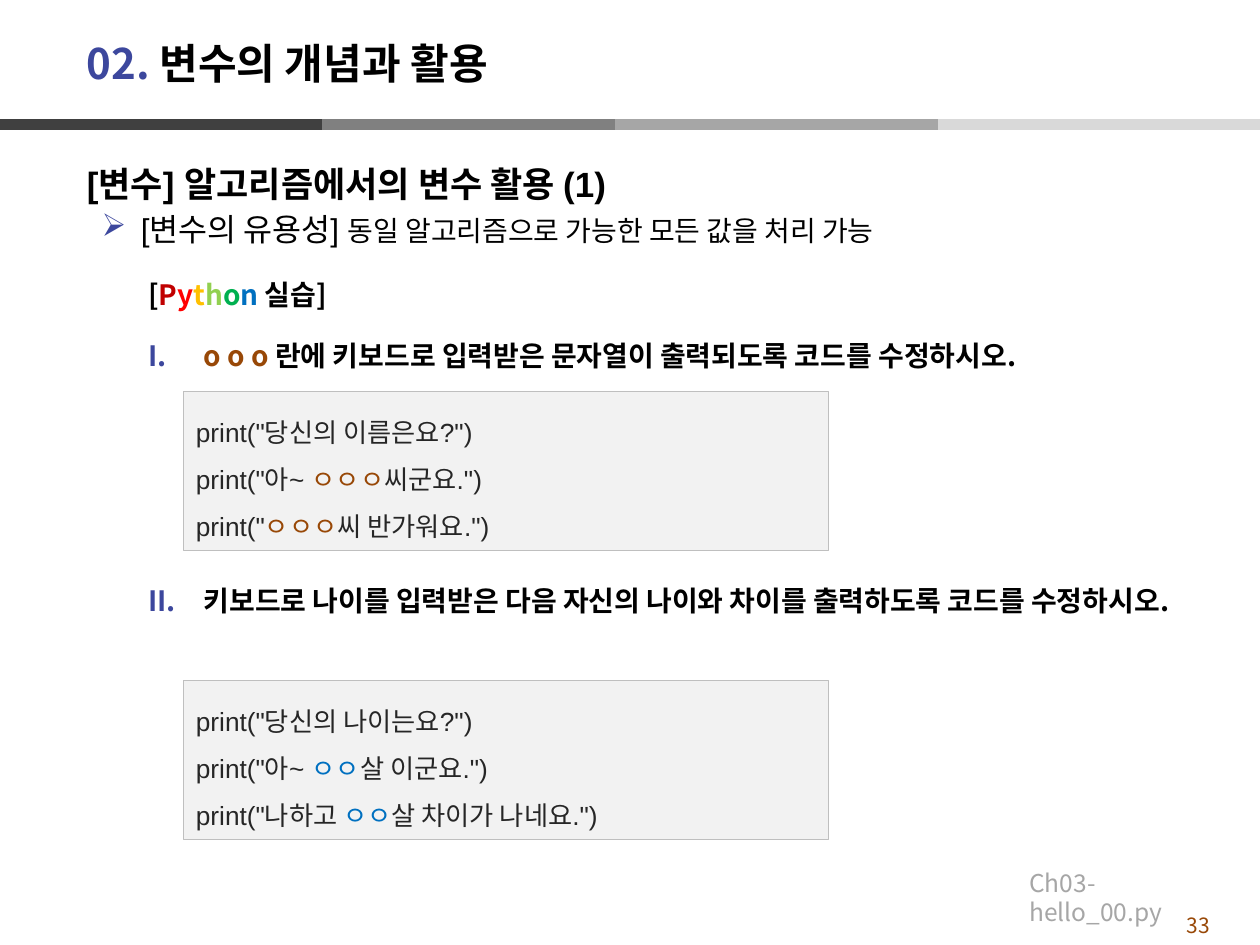
from dataclasses import dataclass
from lxml.etree import SubElement
from pptx import Presentation
from pptx.dml.color import RGBColor
from pptx.enum.shapes import MSO_CONNECTOR, MSO_SHAPE
from pptx.enum.text import MSO_ANCHOR, PP_ALIGN
from pptx.oxml.ns import qn
from pptx.util import Cm, Pt


@dataclass(frozen=True)
class Theme:
    """Colours, fonts and type sizes of the slide."""
    latin: str = "Arial"
    korean: str = "Noto Sans CJK KR"
    black: str = "000000"
    accent: str = "3C479D"
    brown: str = "984807"
    blue: str = "0070C0"
    code: str = "262626"
    code_fill: str = "F2F2F2"
    code_border: str = "BFBFBF"
    muted: str = "A6A6A6"
    bands: tuple = ("404040", "808080", "A6A6A6", "D9D9D9")
    rainbow: tuple = ("C00000", "FF0000", "FFC000", "92D050", "00B050", "0070C0")
    title: int = 24
    heading: int = 20
    topic: int = 18
    body: int = 16
    listing: int = 15
    file_name: int = 14
    page: int = 12


THEME = Theme()


def add_text(paragraph, text, size, color=THEME.black, font=THEME.korean, bold=False):
    """Append a formatted run to a paragraph."""
    run = paragraph.add_run()
    run.text = text
    run.font.size, run.font.bold, run.font.name = Pt(size), bold, font
    run.font.color.rgb = RGBColor.from_string(color)
    SubElement(run.font._element, qn("a:ea"), typeface=THEME.korean)


def add_frame(slide, box, anchor=MSO_ANCHOR.TOP):
    """Add a wrapping text box and return its text frame."""
    frame = slide.shapes.add_textbox(*map(Cm, box)).text_frame
    frame.word_wrap = True
    frame.vertical_anchor = anchor
    return frame


def format_paragraph(paragraph, line=1.0, before=0, after=0, margin=0, indent=0):
    """Set the spacing and indents of a paragraph."""
    paragraph.line_spacing = line
    paragraph.space_before, paragraph.space_after = Pt(before), Pt(after)
    properties = paragraph._p.get_or_add_pPr()
    properties.set("marL", str(Cm(margin)))
    properties.set("indent", str(Cm(indent)))


def add_bullet(paragraph, tag, **attributes):
    """Give a paragraph an accent-coloured bullet or number."""
    properties = paragraph._p.get_or_add_pPr()
    color = SubElement(properties, qn("a:buClr"))
    SubElement(color, qn("a:srgbClr"), val=THEME.accent)
    SubElement(properties, qn(tag), **attributes)


def add_title(slide, box):
    """Place the section number and title."""
    title = add_frame(slide, box, MSO_ANCHOR.MIDDLE).paragraphs[0]
    add_text(title, "02. ", size=THEME.title, color=THEME.accent, bold=True)
    add_text(title, "변수의 개념과 활용", size=THEME.title, bold=True)


def add_divider(slide, box):
    """Draw the grey bands from right to left, the darkest on top."""
    left, top, width, band_width = box
    for place, color in enumerate(reversed(THEME.bands), 1):
        start = max(left, left + width - place * band_width)
        band = slide.shapes.add_connector(
            MSO_CONNECTOR.STRAIGHT, Cm(start), Cm(top), Cm(start + band_width), Cm(top))
        band.line.color.rgb = RGBColor.from_string(color)
        band.line.width = Pt(6)
        SubElement(band._element.spPr, qn("a:effectLst"))


def add_body(slide, box):
    """Place the heading, the topic and the two numbered exercises."""
    frame = add_frame(slide, box)
    heading = frame.paragraphs[0]
    format_paragraph(heading, line=1.5)
    add_text(heading, "[변수] 알고리즘에서의 변수 활용 (1)",
             size=THEME.heading, font=THEME.latin, bold=True)

    topic = frame.add_paragraph()
    format_paragraph(topic, before=3.6, after=4, margin=1.09, indent=-0.79)
    add_bullet(topic, "a:buChar", char="➢")
    add_text(topic, "[변수의 유용성] ", size=THEME.topic, font=THEME.latin)
    add_text(topic, "동일 알고리즘으로 가능한 모든 값을 처리 가능",
             size=THEME.body, font=THEME.latin)

    practice = frame.add_paragraph()
    format_paragraph(practice, line=1.5, before=3.2, after=3, margin=1.24)
    letters = zip("Python", THEME.rainbow)
    for text, color in (("[", THEME.black), *letters, (" 실습]", THEME.black)):
        add_text(practice, text, size=THEME.body, color=color, bold=True)

    exercises = (
        (3.2, (("o o o ", THEME.brown),
               ("란에 키보드로 입력받은 문자열이 출력되도록 코드를 수정하시오.", THEME.black))),
        (108, (("키보드로 나이를 입력받은 다음 자신의 나이와 차이를 출력하도록 코드를 수정하시오.",
                THEME.black),)),
    )
    for number, (before, parts) in enumerate(exercises, 1):
        exercise = frame.add_paragraph()
        format_paragraph(exercise, line=1.5, before=before, after=3,
                         margin=2.36, indent=-1.12)
        add_bullet(exercise, "a:buAutoNum", type="romanUcPeriod", startAt=str(number))
        for text, color in parts:
            add_text(exercise, text, size=THEME.body, color=color, bold=True)


def add_code(slide, box, lines, blank, blank_color):
    """Place a code panel, colouring the blanks to be filled in."""
    panel = slide.shapes.add_shape(MSO_SHAPE.RECTANGLE, *map(Cm, box))
    panel.shadow.inherit = False
    panel.fill.solid()
    panel.fill.fore_color.rgb = RGBColor.from_string(THEME.code_fill)
    panel.line.color.rgb = RGBColor.from_string(THEME.code_border)
    panel.line.width = Pt(0.75)
    frame = panel.text_frame
    frame.word_wrap = True
    frame.vertical_anchor = MSO_ANCHOR.MIDDLE
    for index, line in enumerate(lines):
        row = frame.add_paragraph() if index else frame.paragraphs[0]
        row.alignment = PP_ALIGN.LEFT
        format_paragraph(row, line=1.5)
        before, found, after = line.partition(blank)
        for text, color in ((before, THEME.code), (found, blank_color), (after, THEME.code)):
            if text:
                add_text(row, text, size=THEME.listing, color=color, font=THEME.latin)


def add_file_name(slide, box):
    """Place the name of the exercise file."""
    file_name = add_frame(slide, box).paragraphs[0]
    add_text(file_name, "Ch03-hello_00.py", size=THEME.file_name, color=THEME.muted)


def add_page_number(slide, box):
    """Place the page number."""
    frame = add_frame(slide, box)
    frame.margin_top = frame.margin_bottom = Cm(0.05)
    page = frame.paragraphs[0]
    page.alignment = PP_ALIGN.CENTER
    add_text(page, "33", size=THEME.page, color=THEME.brown)


def main():
    """Build and save the slide."""
    deck = Presentation()
    deck.slide_width, deck.slide_height = Cm(25.4), Cm(19.05)
    slide = deck.slides.add_slide(deck.slide_layouts[6])
    add_page_number(slide, (22.99, 18.34, 2.34, 0.58))
    add_divider(slide, (0, 2.51, 25.4, 6.5))
    add_title(slide, (1.5, 0.51, 19, 1.52))
    add_body(slide, (1.5, 2.72, 23.01, 14.4))
    add_code(slide, (3.7, 7.9, 13, 3.2),
             ('print("당신의 이름은요?")', 'print("아~ ㅇㅇㅇ씨군요.")', 'print("ㅇㅇㅇ씨 반가워요.")'),
             "ㅇㅇㅇ", THEME.brown)
    add_code(slide, (3.7, 13.72, 13, 3.2),
             ('print("당신의 나이는요?")', 'print("아~ ㅇㅇ살 이군요.")', 'print("나하고 ㅇㅇ살 차이가 나네요.")'),
             "ㅇㅇ", THEME.blue)
    add_file_name(slide, (20.5, 17.37, 4.39, 0.86))
    deck.save("out.pptx")


if __name__ == "__main__":
    main()
